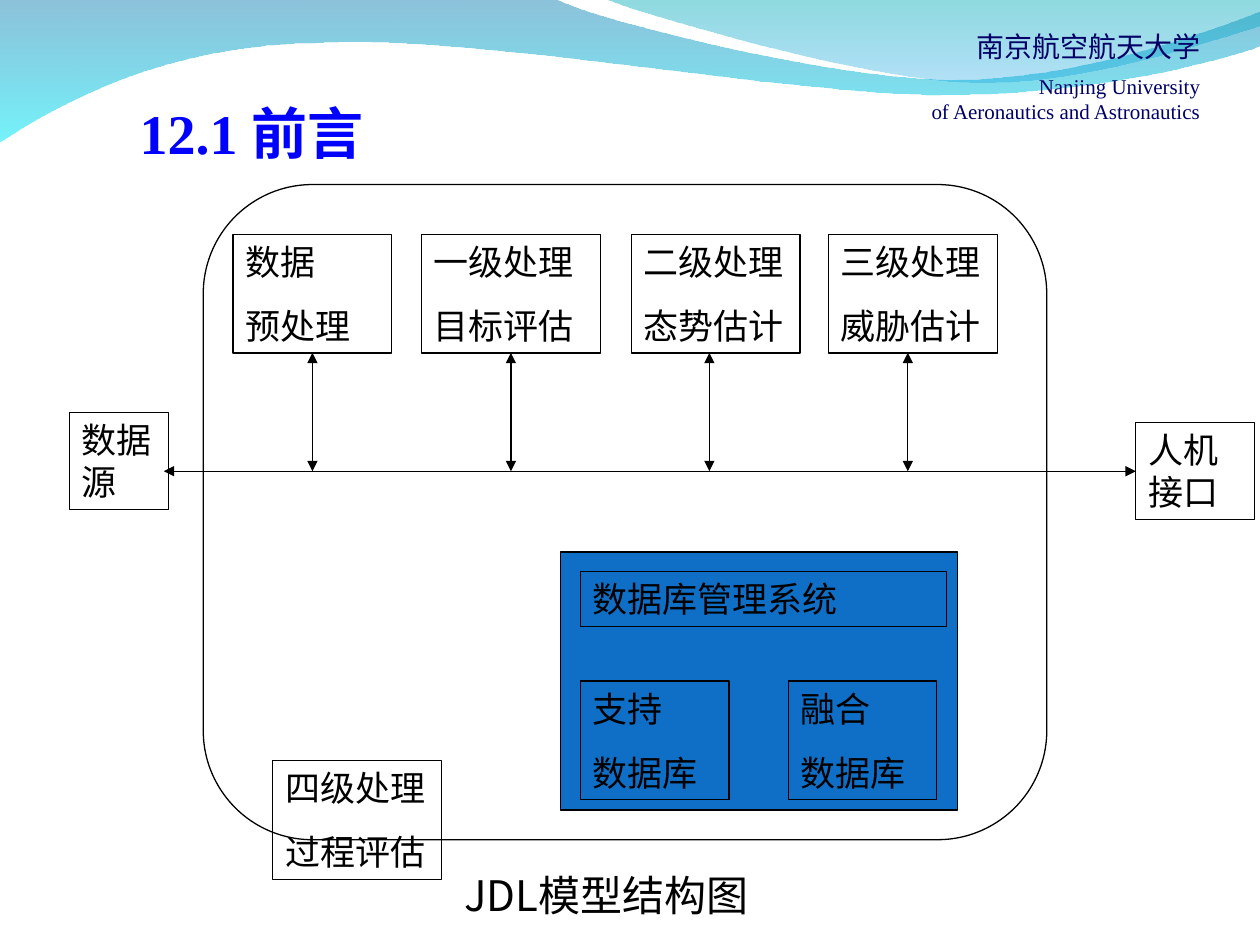
from typing import NamedTuple, Optional

from lxml.etree import SubElement
from pptx import Presentation
from pptx.dml.color import RGBColor
from pptx.enum.shapes import MSO_CONNECTOR, MSO_SHAPE
from pptx.enum.text import MSO_ANCHOR, PP_ALIGN
from pptx.oxml.ns import qn
from pptx.util import Inches, Pt

BLACK = RGBColor(0x00, 0x00, 0x00)
WHITE = RGBColor(0xFF, 0xFF, 0xFF)
NAVY = RGBColor(0x00, 0x00, 0x66)
TITLE_BLUE = RGBColor(0x00, 0x00, 0xFF)
DATABASE_BLUE = RGBColor(0x0F, 0x6F, 0xC6)
DEEP_BLUE = RGBColor(0x00, 0x79, 0xAF)
CYAN = RGBColor(0x00, 0xEB, 0xF8)
TEAL = RGBColor(0x00, 0xAD, 0xB6)
SKY = RGBColor(0x00, 0x9B, 0xE5)

SERIF, SANS = "Times New Roman", "Noto Sans CJK SC"
COLUMNS, ROWS = 100, 75  # grid over the whole slide
LINE_WIDTH = Pt(0.75)

deck = Presentation()
deck.slide_width, deck.slide_height = Inches(10), Inches(7.5)
slide = deck.slides.add_slide(deck.slide_layouts[6])
shapes = slide.shapes


class Area(NamedTuple):
    col: float
    row: float
    cols: float
    rows: float


class Line(NamedTuple):
    text: str
    size: float
    color: RGBColor = BLACK
    font: str = SERIF
    bold: bool = False
    align: PP_ALIGN = PP_ALIGN.LEFT
    before: float = 0
    after: float = 0
    spacing: float = 1.0


class Stage(NamedTuple):
    area: Area
    lines: tuple[str, ...]


class Wave(NamedTuple):
    start: tuple[float, float]
    segments: list  # one point: straight side; three points: Bézier curve
    stops: tuple  # (colour, opacity in percent), from top to bottom


def x_at(col: float) -> int:
    return round(deck.slide_width * col / COLUMNS)


def y_at(row: float) -> int:
    return round(deck.slide_height * row / ROWS)


def place(area: Area) -> tuple[int, int, int, int]:
    return x_at(area.col), y_at(area.row), x_at(area.cols), y_at(area.rows)


def write(frame, lines: list[Line], wrap: bool = True) -> None:
    frame.word_wrap = wrap
    frame.vertical_anchor = MSO_ANCHOR.TOP
    for index, line in enumerate(lines):
        paragraph = frame.add_paragraph() if index else frame.paragraphs[0]
        run = paragraph.add_run()
        run.text = line.text
        SubElement(run.font._element, qn("a:ea")).set("typeface", SANS)
        paragraph.alignment = line.align
        paragraph.line_spacing = line.spacing
        paragraph.space_before = Pt(line.before if index else 0)
        paragraph.space_after = Pt(line.after)
        font = paragraph.font
        font.name, font.size, font.bold = line.font, Pt(line.size), line.bold
        font.color.rgb = line.color


def add_text(area: Area, lines: list[Line], wrap: bool = True):
    frame = shapes.add_textbox(*place(area)).text_frame
    write(frame, lines, wrap)
    return frame


def add_panel(area: Area, fill: Optional[RGBColor] = None, kind=MSO_SHAPE.RECTANGLE):
    panel = shapes.add_shape(kind, *place(area))
    panel.shadow.inherit = False
    if fill is None:
        panel.fill.background()
    else:
        panel.fill.solid()
        panel.fill.fore_color.rgb = fill
    panel.line.color.rgb = BLACK
    panel.line.width = LINE_WIDTH
    return panel


def add_stage(stage: Stage) -> None:
    write(add_panel(stage.area).text_frame,
          [Line(text, 20, before=12.5) for text in stage.lines])


def add_arrow(col: float, row: float, end_col: float, end_row: float) -> None:
    arrow = shapes.add_connector(
        MSO_CONNECTOR.STRAIGHT, x_at(col), y_at(row), x_at(end_col), y_at(end_row))
    arrow.line.color.rgb = BLACK
    arrow.line.width = LINE_WIDTH
    for end in ("a:headEnd", "a:tailEnd"):
        SubElement(arrow.line._get_or_add_ln(), qn(end)).set("type", "triangle")
    SubElement(arrow._element.spPr, qn("a:effectLst"))


def add_wave(wave: Wave) -> None:
    points = [point for segment in wave.segments for point in segment]
    builder = shapes.build_freeform(x_at(wave.start[0]), y_at(wave.start[1]))
    builder.add_line_segments([(x_at(col), y_at(row)) for col, row in points])
    band = builder.convert_to_shape()

    # Join the three sides of each curve segment into one Bézier curve
    sides = iter(list(band._element.iter(qn("a:lnTo"))))
    for segment in wave.segments:
        first, *others = [next(sides) for _ in segment]
        if others:
            first.tag = qn("a:cubicBezTo")
        for side in others:
            first.append(side[0])
            side.getparent().remove(side)

    band.shadow.inherit = False
    band.line.fill.background()
    band.fill.gradient()
    band.fill.gradient_angle = 270
    for stop, (color, _) in zip(band.fill.gradient_stops, wave.stops):
        stop.color.rgb = color
    tints = list(band._element.spPr.iter(qn("a:srgbClr")))
    for tint, (_, opacity) in zip(tints, wave.stops):
        SubElement(tint, qn("a:alpha")).set("val", str(opacity * 1000))


# Waves along the top edge
WAVES = [
    Wave((0, -0.1), [
        [(44, -0.1)],
        [(47.6, 1.7), (66.4, 6.3), (75.8, 6.3)],
        [(85.3, 6.3), (95.8, 2.6), (100, 0.9)],
        [(100.1, 3.6)],
        [(98.3, 4.4), (87, 7.6), (74.6, 7.5)],
        [(62.2, 7.5), (38.2, 2.8), (25.7, 3.4)],
        [(12.9, 3.5), (4.6, 8.3), (-0.1, 11.3)],
        [(0, -0.1)],
    ], ((DEEP_BLUE, 45), (CYAN, 55))),
    Wave((47.9, -0.1), [
        [(50.9, 1.1), (68.2, 6.2), (76.9, 6.5)],
        [(85.6, 6.9), (96.1, 3.2), (100, 2.1)],
        [(100, 0)],
        [(47.9, -0.1)],
    ], ((TEAL, 45), (SKY, 30))),
]
for wave in WAVES:
    add_wave(wave)

# University name and slide title
RIGHT = PP_ALIGN.RIGHT
add_text(Area(72.75, 1.85, 23.5, 8.5), [
    Line("南京航空航天大学", 16, NAVY, align=RIGHT, after=6),
    Line("Nanjing University", 12, NAVY, align=RIGHT),
    Line("of Aeronautics and Astronautics", 12, NAVY, align=RIGHT),
], wrap=False)
add_text(Area(10.1, 6.8, 84.3, 6.9),
         [Line("12.1 前言", 32, TITLE_BLUE, bold=True, spacing=1.1)])

# Fusion domain and database block
domain = add_panel(Area(16.13, 14.65, 66.95, 52), WHITE, MSO_SHAPE.ROUNDED_RECTANGLE)
domain.adjustments[0] = 1 / 6
add_panel(Area(44.5, 43.8, 31.5, 20.5), DATABASE_BLUE)

# Processing levels, outer ends and databases
LEVEL_ROW, DATABASE_ROW, PAIR_ROWS, END_ROWS = 18.6, 54.05, 9.43, 7.7
STAGES = [
    Stage(Area(18.5, LEVEL_ROW, 12.6, PAIR_ROWS), ("数据", "预处理")),
    Stage(Area(33.45, LEVEL_ROW, 14.2, PAIR_ROWS), ("一级处理", "目标评估")),
    Stage(Area(50.1, LEVEL_ROW, 13.4, PAIR_ROWS), ("二级处理", "态势估计")),
    Stage(Area(65.75, LEVEL_ROW, 13.4, PAIR_ROWS), ("三级处理", "威胁估计")),
    Stage(Area(90.15, 33.55, 9.4, END_ROWS), ("人机接口",)),
    Stage(Area(5.5, 32.75, 7.9, END_ROWS), ("数据源",)),
    Stage(Area(21.65, 60.35, 13.4, PAIR_ROWS), ("四级处理", "过程评估")),
    Stage(Area(46.05, DATABASE_ROW, 11.8, PAIR_ROWS), ("支持", "数据库")),
    Stage(Area(62.55, DATABASE_ROW, 11.8, PAIR_ROWS), ("融合", "数据库")),
    Stage(Area(46.05, 45.35, 29.1, 4.4), ("数据库管理系统",)),
]
for stage in STAGES:
    add_stage(stage)

# Caption
caption = add_text(Area(29.1, 68.5, 57.5, 5), [Line("JDL模型结构图", 24, font=SANS)])
caption.margin_left = x_at(7.73)

# Data bus and its links to the levels
BUS_ROW, LINK_ROW, FIRST_LINK, LINK_STEP = 37.4, 28, 24.8, 15.75
add_arrow(13, BUS_ROW, 90.15, BUS_ROW)
for link in range(4):
    link_col = FIRST_LINK + link * LINK_STEP
    add_arrow(link_col, LINK_ROW, link_col, BUS_ROW)

deck.save("out.pptx")
